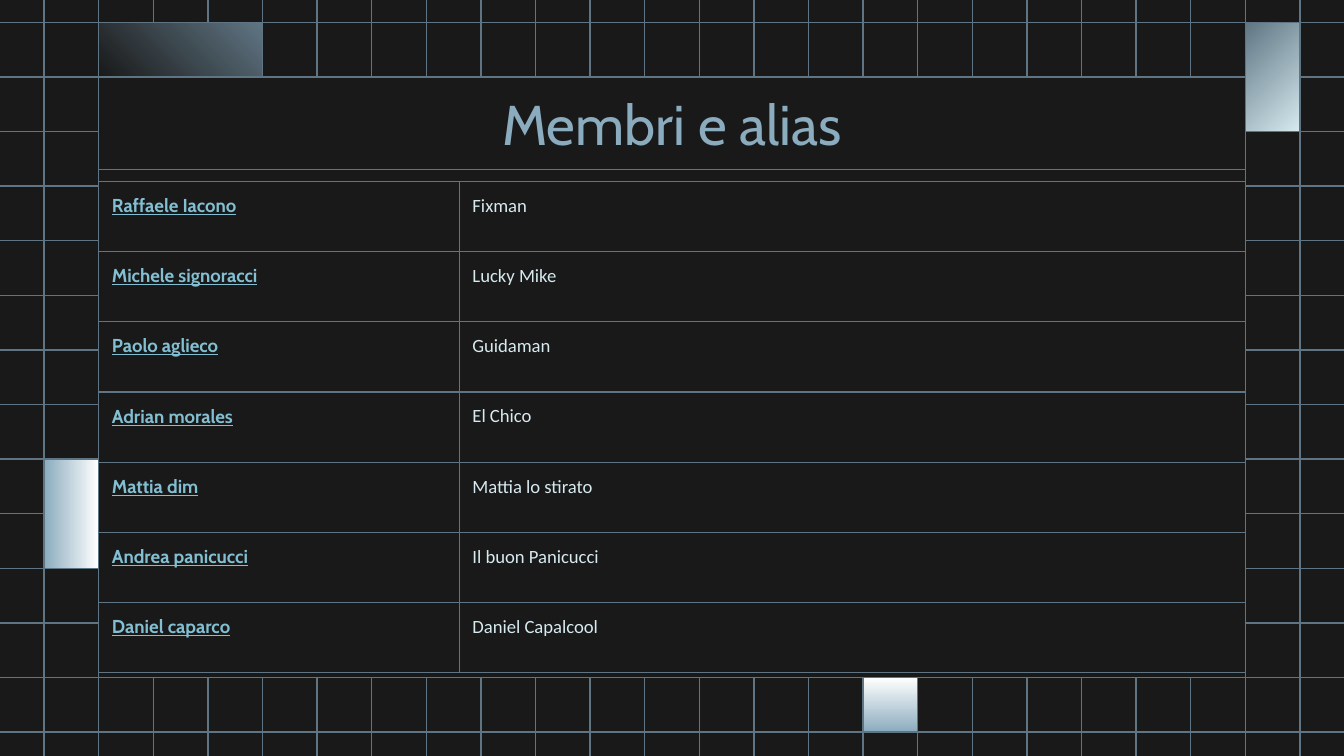
from dataclasses import dataclass

from lxml import etree
from pptx import Presentation
from pptx import util as u
from pptx.dml.color import RGBColor
from pptx.enum import shapes, text
from pptx.oxml.ns import qn

PX = 4762.5  # EMU in one px of a 1920 x 1080 page
PITCH = 78
COLUMNS, ROWS = 23, 13
INSET = 19


@dataclass(frozen=True)
class Theme:
    ground: str = "191919"
    line: str = "5F7583"
    title: str = "8BACBE"
    link: str = "83BFD2"
    body: str = "D6EAF0"
    white: str = "FFFFFF"
    heading_font: str = "Cabin"
    body_font: str = "Calibri"
    title_size: int = 30
    body_size: int = 10
    space_after: int = 16
    line_width: float = 0.75


THEME = Theme()


@dataclass(frozen=True)
class Box:
    left: int
    top: int
    width: int
    height: int

    @property
    def right(self):
        return self.left + self.width

    @property
    def bottom(self):
        return self.top + self.height

    def emu(self):
        return [px(n) for n in (self.left, self.top, self.width, self.height)]


MEMBERS = [
    ("Raffaele Iacono", "Fixman"),
    ("Michele signoracci", "Lucky Mike"),
    ("Paolo aglieco", "Guidaman"),
    ("Adrian morales", "El Chico"),
    ("Mattia dim", "Mattia lo stirato"),
    ("Andrea panicucci", "Il buon Panicucci"),
]
LAST_MEMBER = [("Daniel caparco", "Daniel Capalcool")]


def px(length):
    return u.Emu(round(length * PX))


def color(value):
    return RGBColor.from_string(value)


def style_line(line):
    line.color.rgb = color(THEME.line)
    line.width = u.Pt(THEME.line_width)


def style_span(span, font, size, tint, link=False):
    span.font.name = font
    span.font.size = u.Pt(size)
    span.font.color.rgb = color(tint)
    span.font.bold = link
    span.font.underline = link


def set_insets(holder):
    holder.margin_left = holder.margin_right = px(INSET)
    holder.margin_top = holder.margin_bottom = px(INSET)


def add_line(page, x1, y1, x2, y2):
    line = page.shapes.add_connector(
        shapes.MSO_CONNECTOR.STRAIGHT, px(x1), px(y1), px(x2), px(y2))
    style_line(line.line)
    etree.SubElement(line._element.spPr, qn("a:effectLst"))


def add_rectangle(page, box):
    shape = page.shapes.add_shape(shapes.MSO_SHAPE.RECTANGLE, *box.emu())
    shape.shadow.inherit = False
    style_line(shape.line)
    return shape


def add_grid(page, box, frame):
    """Rule the page, leaving the frame clear except for its edges."""
    left, top = frame.left - PITCH, frame.top - PITCH
    for column in range(COLUMNS + 1):
        x = left + column * PITCH
        if frame.left < x < frame.right:
            add_line(page, x, box.top, x, frame.top)
            add_line(page, x, frame.bottom, x, box.bottom)
        else:
            add_line(page, x, box.top, x, box.bottom)
    for row in range(ROWS + 1):
        y = top + row * PITCH
        if frame.top < y < frame.bottom:
            add_line(page, box.left, y, frame.left, y)
            add_line(page, frame.right, y, box.right, y)
        else:
            add_line(page, box.left, y, box.right, y)


def add_gradient_block(page, box, start, end, angle, turned=False):
    """Place a block; a turned one is drawn lying down, then rotated upright."""
    if turned:
        shift = (box.height - box.width) // 2
        box = Box(box.left - shift, box.top + shift, box.height, box.width)
    block = add_rectangle(page, box)
    block.rotation = 90 if turned else 0
    block.fill.gradient()
    block.fill.gradient_angle = 360 - angle
    for stop, tint, position in zip(block.fill.gradient_stops, (start, end), (0, 1)):
        stop.color.rgb = color(tint)
        stop.position = position


def add_blocks(page, frame):
    """Fill a few grid cells around the frame."""
    top = frame.top - PITCH
    add_gradient_block(page, Box(frame.left, top, 3 * PITCH, PITCH),
                       THEME.line, THEME.ground, 135)
    add_gradient_block(page, Box(frame.left + 14 * PITCH, frame.bottom, PITCH, PITCH),
                       THEME.white, THEME.title, 90)
    add_gradient_block(page, Box(frame.left - PITCH, frame.top + 7 * PITCH, PITCH, 2 * PITCH),
                       THEME.white, THEME.title, 90, turned=True)
    add_gradient_block(page, Box(frame.right, top, PITCH, 2 * PITCH),
                       THEME.body, THEME.line, 135, turned=True)


def add_title(page, box, wording):
    title = add_rectangle(page, box)
    title.fill.background()
    frame = title.text_frame
    frame.text = wording
    frame.word_wrap = True
    frame.vertical_anchor = text.MSO_ANCHOR.MIDDLE
    set_insets(frame)
    para = frame.paragraphs[0]
    para.alignment = text.PP_ALIGN.CENTER
    style_span(para.runs[0], THEME.heading_font, THEME.title_size, THEME.title)


def add_borders(cell):
    properties = cell._tc.get_or_add_tcPr()
    for index, side in enumerate(("lnL", "lnR", "lnT", "lnB")):
        border = etree.Element(qn(f"a:{side}"), w=str(u.Pt(THEME.line_width)))
        fill = etree.SubElement(border, qn("a:solidFill"))
        etree.SubElement(fill, qn("a:srgbClr"), val=THEME.line)
        properties.insert(index, border)


def add_member_table(page, box, members, name_width=515):
    table = page.shapes.add_table(len(members), 2, *box.emu()).table
    table.first_row = table.horz_banding = False
    table.columns[0].width = px(name_width)
    table.columns[1].width = px(box.width - name_width)
    for row, member in enumerate(members):
        table.rows[row].height = px(box.height / len(members))
        for column, wording in enumerate(member):
            cell = table.cell(row, column)
            cell.text_frame.text = wording
            cell.fill.background()
            set_insets(cell)
            add_borders(cell)
            para = cell.text_frame.paragraphs[0]
            if column == 0:
                style_span(para.runs[0], THEME.heading_font, THEME.body_size,
                           THEME.link, link=True)
            else:
                style_span(para.runs[0], THEME.body_font, THEME.body_size, THEME.body)
                if wording != "Mattia lo stirato":
                    para.space_after = u.Pt(THEME.space_after)


def add_members_page(deck, box):
    page = deck.slides.add_slide(deck.slide_layouts[6])
    page.background.fill.solid()
    page.background.fill.fore_color.rgb = color(THEME.ground)
    frame = Box(box.left + 141, box.top + 110, 21 * PITCH, 11 * PITCH)
    add_grid(page, box, frame)
    add_blocks(page, frame)
    add_title(page, Box(frame.left, frame.top + 1, frame.width, 131), "Membri e alias")
    add_member_table(page, Box(frame.left, frame.top + 149, frame.width, 602), MEMBERS)
    add_member_table(page, Box(frame.left, frame.top + 751, frame.width, 100), LAST_MEMBER)


def main():
    deck = Presentation()
    box = Box(0, 0, 1920, 1080)
    deck.slide_width, deck.slide_height = px(box.width), px(box.height)
    add_members_page(deck, box)
    deck.save("out.pptx")


if __name__ == "__main__":
    main()
